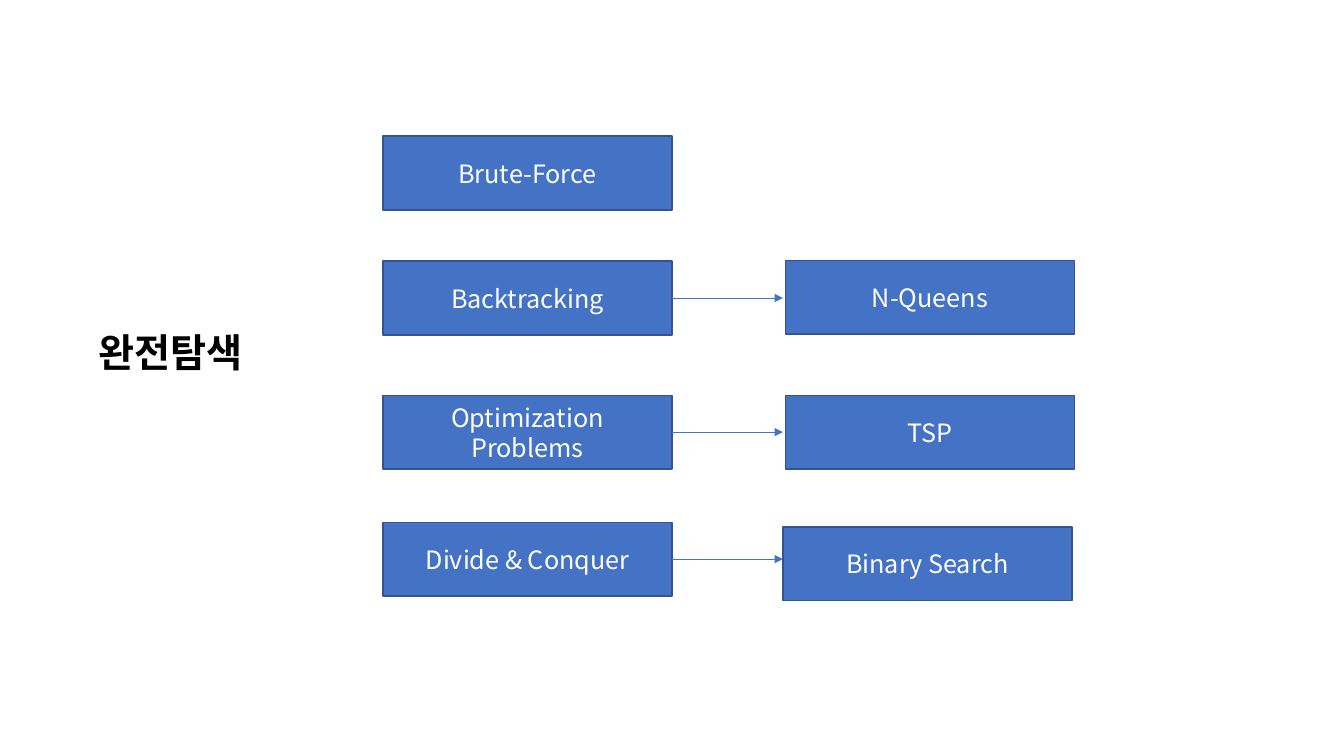
from lxml import etree
from pptx import Presentation
from pptx.dml.color import RGBColor
from pptx.enum.shapes import MSO_CONNECTOR, MSO_SHAPE
from pptx.enum.text import MSO_ANCHOR, PP_ALIGN
from pptx.oxml.ns import qn
from pptx.util import Cm, Pt

RECTANGLE = MSO_SHAPE.RECTANGLE
STRAIGHT = MSO_CONNECTOR.STRAIGHT
MIDDLE = MSO_ANCHOR.MIDDLE
LEFT, CENTER = PP_ALIGN.LEFT, PP_ALIGN.CENTER

BLACK = RGBColor(0x00, 0x00, 0x00)
WHITE = RGBColor(0xFF, 0xFF, 0xFF)
BLUE = RGBColor(0x44, 0x72, 0xC4)
DARK_BLUE = RGBColor(0x32, 0x54, 0x91)

BOX_WIDTH, BOX_HEIGHT = 7.29, 1.86
METHOD_LEFT = 9.65
ROWS = [
    ("Brute-Force", 3.43, None),
    ("Backtracking", 6.58, ("N-Queens", 19.79, 6.56)),
    ("Optimization Problems", 9.96, ("TSP", 19.79, 9.96)),
    ("Divide & Conquer", 13.16, ("Binary Search", 19.73, 13.28)),
]


def write_text(frame, text, size=18, color=WHITE, bold=False, align=CENTER, font="Noto Sans CJK KR"):
    frame.word_wrap = True
    paragraph = frame.paragraphs[0]
    paragraph.alignment = align
    run = paragraph.add_run()
    run.text = text
    run.font.name = font
    run.font.size = Pt(size)
    run.font.bold = bold
    run.font.color.rgb = color
    etree.SubElement(run.font._element, qn("a:ea"), typeface=font)


class TopicSlide:
    """Draws the topic map on one slide in a single style."""

    def __init__(self, presentation):
        self.slide = presentation.slides.add_slide(presentation.slide_layouts[6])
        self.shapes = self.slide.shapes

    def title(self, text, left, top, width, height):
        shape = self.shapes.add_textbox(Cm(left), Cm(top), Cm(width), Cm(height))
        write_text(shape.text_frame, text, size=28, color=BLACK, bold=True, align=LEFT)

    def box(self, text, left, top):
        shape = self.shapes.add_shape(RECTANGLE, Cm(left), Cm(top), Cm(BOX_WIDTH), Cm(BOX_HEIGHT))
        shape.shadow.inherit = False
        shape.fill.solid()
        shape.fill.fore_color.rgb = BLUE
        shape.line.color.rgb = DARK_BLUE
        shape.line.width = Pt(1)
        shape.text_frame.vertical_anchor = MIDDLE
        write_text(shape.text_frame, text)
        return shape

    def arrow(self, source):
        start = source.left + source.width
        height = source.top + source.height // 2
        connector = self.shapes.add_connector(STRAIGHT, start, height, Cm(19.73), height)
        connector.begin_connect(source, 3)
        connector.line.color.rgb = BLUE
        connector.line.width = Pt(0.5)
        etree.SubElement(connector.line._get_or_add_ln(), qn("a:tailEnd"), type="triangle")
        etree.SubElement(connector._element.spPr, qn("a:effectLst"))


def main():
    presentation = Presentation()
    presentation.slide_width = Cm(33.87)
    presentation.slide_height = Cm(19.05)
    topic = TopicSlide(presentation)
    topic.title("완전탐색", 2.24, 8.15, 5.16, 1.45)
    for method, top, example in ROWS:
        source = topic.box(method, METHOD_LEFT, top)
        if example:
            topic.arrow(source)
            topic.box(*example)
    presentation.save("out.pptx")


if __name__ == "__main__":
    main()
